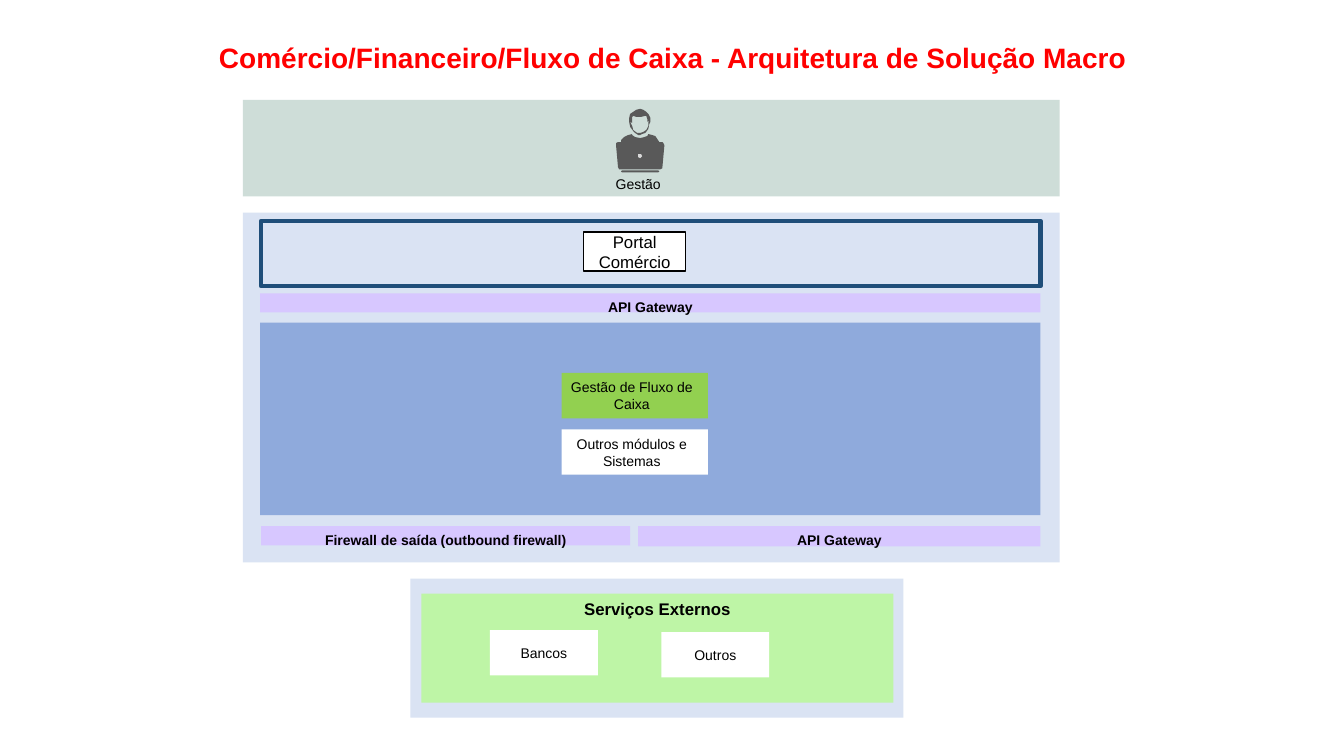
"""Build the macro solution architecture slide for the cash flow system."""
from dataclasses import dataclass

from pptx import Presentation
from pptx.dml.color import RGBColor
from pptx.enum.shapes import MSO_SHAPE as Shape
from pptx.enum.text import MSO_ANCHOR as Anchor, PP_ALIGN as Align
from pptx.shapes.autoshape import Shape as Auto
from pptx.shapes.shapetree import SlideShapes as Tree
from pptx.text.text import TextFrame as Frame
from pptx.util import Inches, Pt

BLACK = RGBColor(0, 0, 0)
WHITE = RGBColor(255, 255, 255)
RED = RGBColor(255, 0, 0)
SAGE = RGBColor(0xCE, 0xDD, 0xD8)
PALE = RGBColor(0xDA, 0xE3, 0xF3)
BLUE = RGBColor(0x8F, 0xAA, 0xDC)
NAVY = RGBColor(0x1F, 0x4E, 0x79)
LILAC = RGBColor(0xD7, 0xC7, 0xFF)
MINT = RGBColor(0xBE, 0xF5, 0xA6)
GREEN = RGBColor(0x92, 0xD0, 0x50)
GRAY = RGBColor(0x59, 0x59, 0x59)
LIGHT = RGBColor(0xD9, 0xD9, 0xD9)

Rect = tuple[float, float, float, float]
Ring = list[tuple[int, int]]
EVEN: Rect = (0.1, 0.05, 0.1, 0.05)
SNUG: Rect = (0.04, 0.05, 0.1, 0.05)
UNIT = Inches(0.01)


@dataclass
class Box:
    """A rectangle with an optional label."""
    at: Rect
    fill: RGBColor | None = None
    text: str = ""
    size: int = 10
    bold: bool = False
    anchor: Anchor = Anchor.MIDDLE
    inset: Rect = EVEN
    line: RGBColor | None = None
    width: int = 1


@dataclass
class Part:
    """A filled outline of the user icon, in hundredths of an inch."""
    rings: list[Ring]
    fill: RGBColor = GRAY


DOT: Ring = [(635, 157), (633, 156), (633, 155), (633, 153), (635, 153),
             (636, 153), (637, 155), (636, 156)]
HEAD: Ring = [(624, 121), (625, 126), (628, 130), (630, 132), (633, 134),
              (635, 134), (637, 133), (640, 132), (643, 128), (644, 123),
              (645, 121), (645, 117), (643, 113), (641, 111), (638, 109),
              (635, 108), (631, 109), (628, 111), (625, 113), (624, 117)]
FACE: Ring = [(628, 115), (631, 116), (636, 116), (640, 115), (641, 115),
              (642, 118), (642, 121), (644, 119), (643, 121), (643, 125),
              (641, 129), (638, 131), (635, 132), (632, 132), (628, 129),
              (627, 125), (625, 121), (627, 122), (627, 116)]
BODY: Ring = [(643, 133), (642, 135), (639, 136), (635, 137), (630, 136),
              (627, 134), (627, 133), (623, 134), (619, 136), (616, 139),
              (616, 141), (654, 141), (652, 138), (650, 135), (647, 134)]
SCREEN: Ring = [(613, 141), (611, 142), (611, 144), (613, 166), (614, 168),
                (615, 168), (655, 168), (657, 167), (657, 166), (659, 144),
                (658, 142), (657, 141)]
BASE: Ring = [(617, 169), (616, 170), (617, 171), (653, 171), (654, 170),
              (653, 169)]
ICON = [Part([BASE]), Part([BODY]), Part([SCREEN]), Part([DOT], LIGHT),
        Part([HEAD, FACE])]

ZONES = [Box((2.41, 0.99, 8.1, 0.96), SAGE), Box((2.41, 2.11, 8.1, 3.47), PALE)]
BOXES = [
    Box((4.07, 5.74, 4.89, 1.38), PALE),
    Box((4.18, 5.89, 4.68, 1.08), MINT, "Serviços Externos", 12, True, Anchor.TOP),
    Box((4.86, 6.25, 1.07, 0.45), WHITE, "Bancos"),
    Box((6.56, 6.27, 1.07, 0.45), WHITE, "Outros"),
    Box((2.58, 3.2, 7.74, 1.91), BLUE),
    Box((5.57, 3.7, 1.45, 0.45), GREEN, "Gestão de Fluxo de Caixa", inset=SNUG),
    Box((2.59, 2.19, 7.73, 0.65), line=NAVY, width=3),
    Box((5.79, 2.3, 1.01, 0.39), WHITE, "Portal\nComércio", 12, line=BLACK),
    Box((5.57, 4.26, 1.45, 0.45), WHITE, "Outros módulos e Sistemas", inset=SNUG),
]
BARS = [
    ((2.58, 2.91, 7.74, 0.19), "API Gateway"),
    ((6.33, 5.22, 3.99, 0.2), "API Gateway"),
    ((2.59, 5.22, 3.66, 0.19), "Firewall de saída (outbound firewall)"),
]


def write(frame: Frame, box: Box, color: RGBColor = BLACK) -> None:
    """Set the label of a box and its format."""
    frame.text = box.text
    frame.word_wrap = True
    frame.vertical_anchor = box.anchor
    (frame.margin_left, frame.margin_top,
     frame.margin_right, frame.margin_bottom) = map(Inches, box.inset)
    for para in frame.paragraphs:
        para.alignment = Align.CENTER
        font = para.font
        font.name, font.size, font.bold = "Arial", Pt(box.size), box.bold
        font.color.rgb = color


def paint(shape: Auto, fill: RGBColor | None, line: RGBColor | None = None,
          width: int = 1) -> None:
    """Set fill and line of a shape and drop its shadow."""
    shape.shadow.inherit = False
    if fill is None:
        shape.fill.background()
    else:
        shape.fill.solid()
        shape.fill.fore_color.rgb = fill
    if line is None:
        shape.line.fill.background()
    else:
        shape.line.color.rgb = line
        shape.line.width = Pt(width)


def draw(tree: Tree, box: Box) -> None:
    """Add a rectangle to the slide."""
    shape = tree.add_shape(Shape.RECTANGLE, *map(Inches, box.at))
    paint(shape, box.fill, box.line, box.width)
    if box.text:
        write(shape.text_frame, box)


def label(tree: Tree, box: Box, color: RGBColor = BLACK) -> Frame:
    """Add a text box to the slide."""
    frame = tree.add_textbox(*map(Inches, box.at)).text_frame
    write(frame, box, color)
    return frame


def trace(tree: Tree, part: Part) -> None:
    """Add one outline of the icon."""
    first, *rest = part.rings
    pen = tree.build_freeform(*first[0], scale=UNIT)
    pen.add_line_segments(first[1:])
    for ring in rest:
        pen.move_to(*ring[0])
        pen.add_line_segments(ring[1:])
    paint(pen.convert_to_shape(), part.fill)


def main() -> None:
    """Build and save the slide."""
    deck = Presentation()
    deck.slide_width, deck.slide_height = Inches(13.33), Inches(7.5)
    tree = deck.slides.add_slide(deck.slide_layouts[6]).shapes
    for box in ZONES:
        draw(tree, box)
    user = label(tree, Box((5.21, 1.76, 2.24, 0.2), text="Gestão", anchor=Anchor.TOP))
    user.paragraphs[0].line_spacing = Pt(7)
    user.paragraphs[0].space_before = Pt(6)
    for part in ICON:
        trace(tree, part)
    for box in BOXES:
        draw(tree, box)
    title = label(tree, Box(
        (1.76, 0.37, 9.83, 0.44), None,
        "Comércio/Financeiro/Fluxo de Caixa - Arquitetura de Solução Macro",
        20, True, inset=(0.07, 0.07, 0.07, 0.07)), RED)
    title.paragraphs[0].line_spacing = 0.9
    for at, text in BARS:
        draw(tree, Box(at, LILAC, text, bold=True, anchor=Anchor.TOP))
    deck.save("out.pptx")


if __name__ == "__main__":
    main()
